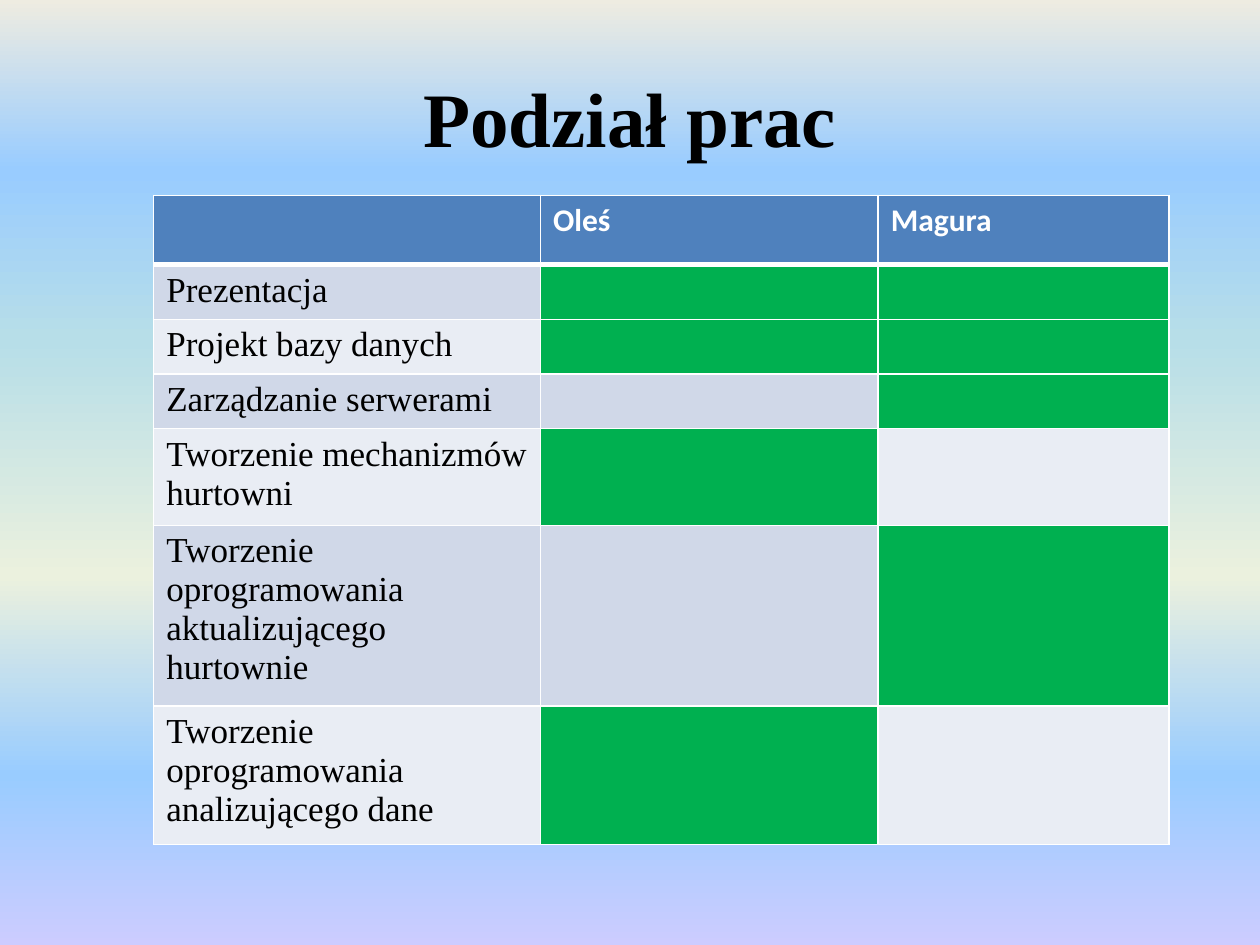
"""Build a one-slide overview of how project work is divided."""
import pptx
import pptx.dml.color
import pptx.enum.text
import pptx.oxml
import pptx.oxml.ns
import pptx.util
from pptx.util import Inches


def color(value):
    return pptx.dml.color.RGBColor.from_string(value)


def write(frame, text, size=20, font="Times New Roman", fill="000000", bold=False, align=None):
    paragraph = frame.paragraphs[0]
    paragraph.alignment = align
    run = paragraph.add_run()
    run.text = text
    run.font.size = pptx.util.Pt(size)
    run.font.name = font
    run.font.bold = bold
    run.font.color.rgb = color(fill)


GREEN = "00B050"
HEADER = "4F81BD"
BANDS = ["D0D8E8", "E9EDF4"]
SKY = [(0, "EEECE1"), (18, "99CCFF"), (36, "B7DEE8"),
       (61, "EBF1DE"), (82, "99CCFF"), (100, "CCCCFF")]
PEOPLE = ["Oleś", "Magura"]
TASKS = [
    ("Prezentacja", PEOPLE),
    ("Projekt bazy danych", PEOPLE),
    ("Zarządzanie serwerami", ["Magura"]),
    ("Tworzenie mechanizmów hurtowni", ["Oleś"]),
    ("Tworzenie oprogramowania aktualizującego hurtownie", ["Magura"]),
    ("Tworzenie oprogramowania analizującego dane", ["Oleś"]),
]

deck = pptx.Presentation()
deck.slide_width, deck.slide_height = Inches(10), Inches(7.5)
slide = deck.slides.add_slide(deck.slide_layouts[6])

sky = slide.background.fill
sky.gradient()
sky.gradient_angle = 270
stops = next(slide.element.iter(pptx.oxml.ns.qn("a:gsLst")))
for stop in list(stops):
    stops.remove(stop)
for position, shade in SKY:
    stops.append(pptx.oxml.parse_xml(
        f'<a:gs {pptx.oxml.ns.nsdecls("a")} pos="{position * 1000}">'
        f'<a:srgbClr val="{shade}"/></a:gs>'))

title = slide.shapes.add_textbox(Inches(0.5), Inches(0.3), Inches(9), Inches(1.25)).text_frame
title.word_wrap = True
title.vertical_anchor = pptx.enum.text.MSO_ANCHOR.MIDDLE
write(title, "Podział prac", size=44, bold=True, align=pptx.enum.text.PP_ALIGN.CENTER)

division = slide.shapes.add_table(len(TASKS) + 1, len(PEOPLE) + 1, Inches(1.22), Inches(1.55),
                                  Inches(8.06), Inches(5.15))
grid = division.table
for column, width in zip(grid.columns, [3.07, 2.68, 2.31]):
    column.width = Inches(width)
for index, row in enumerate(grid.rows):
    row.height = Inches(0.41 if index else 0.55)
    for cell in row.cells:
        edges = {"L": 1, "R": 1, "T": 3 if index == 1 else 1, "B": 1 if index else 3}
        for side, weight in edges.items():
            cell._tc.get_or_add_tcPr().append(pptx.oxml.parse_xml(
                f'<a:ln{side} {pptx.oxml.ns.nsdecls("a")} w="{weight * 12700}">'
                f'<a:solidFill><a:srgbClr val="FFFFFF"/></a:solidFill></a:ln{side}>'))
        cell.fill.solid()
        cell.fill.fore_color.rgb = color(BANDS[(index - 1) % 2] if index else HEADER)

for column, person in enumerate(PEOPLE, 1):
    write(grid.cell(0, column).text_frame, person, size=18, font="Calibri",
          fill="FFFFFF", bold=True)
for index, (task, workers) in enumerate(TASKS, 1):
    write(grid.cell(index, 0).text_frame, task)
    for worker in workers:
        grid.cell(index, PEOPLE.index(worker) + 1).fill.fore_color.rgb = color(GREEN)

deck.save("out.pptx")
